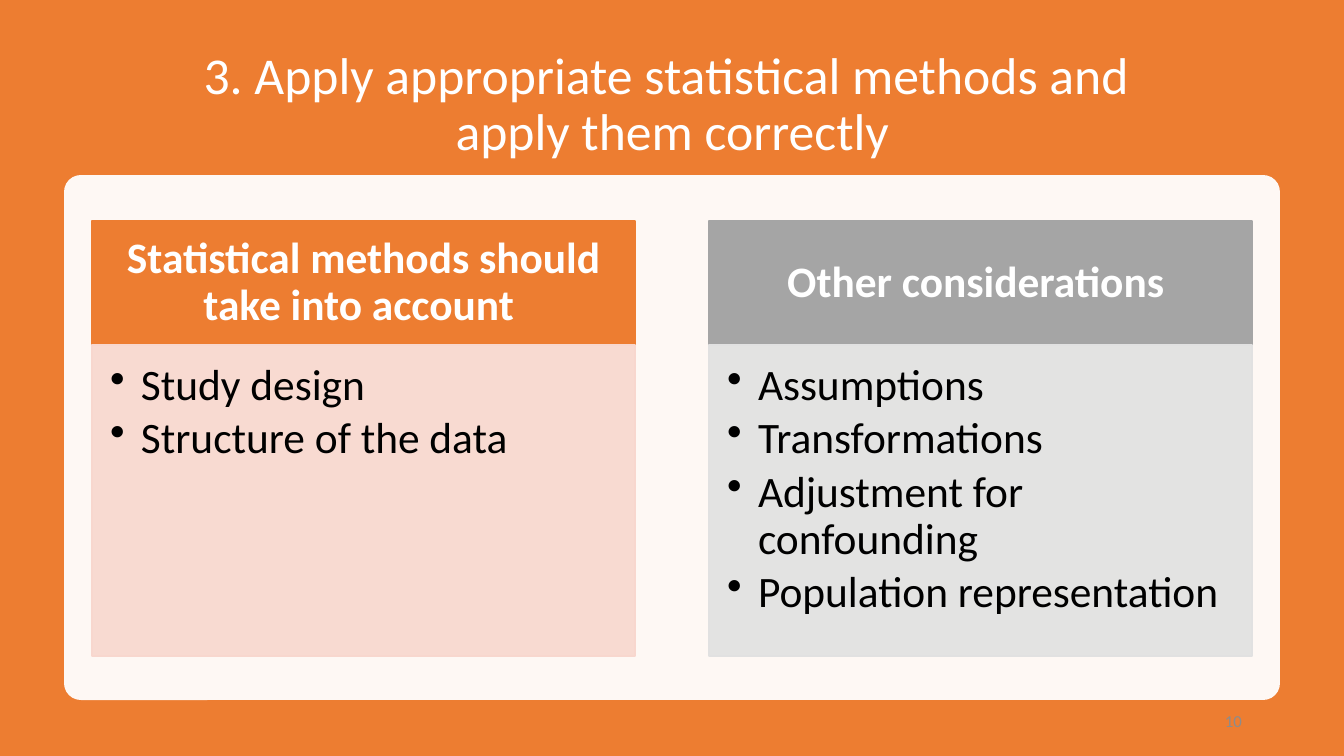
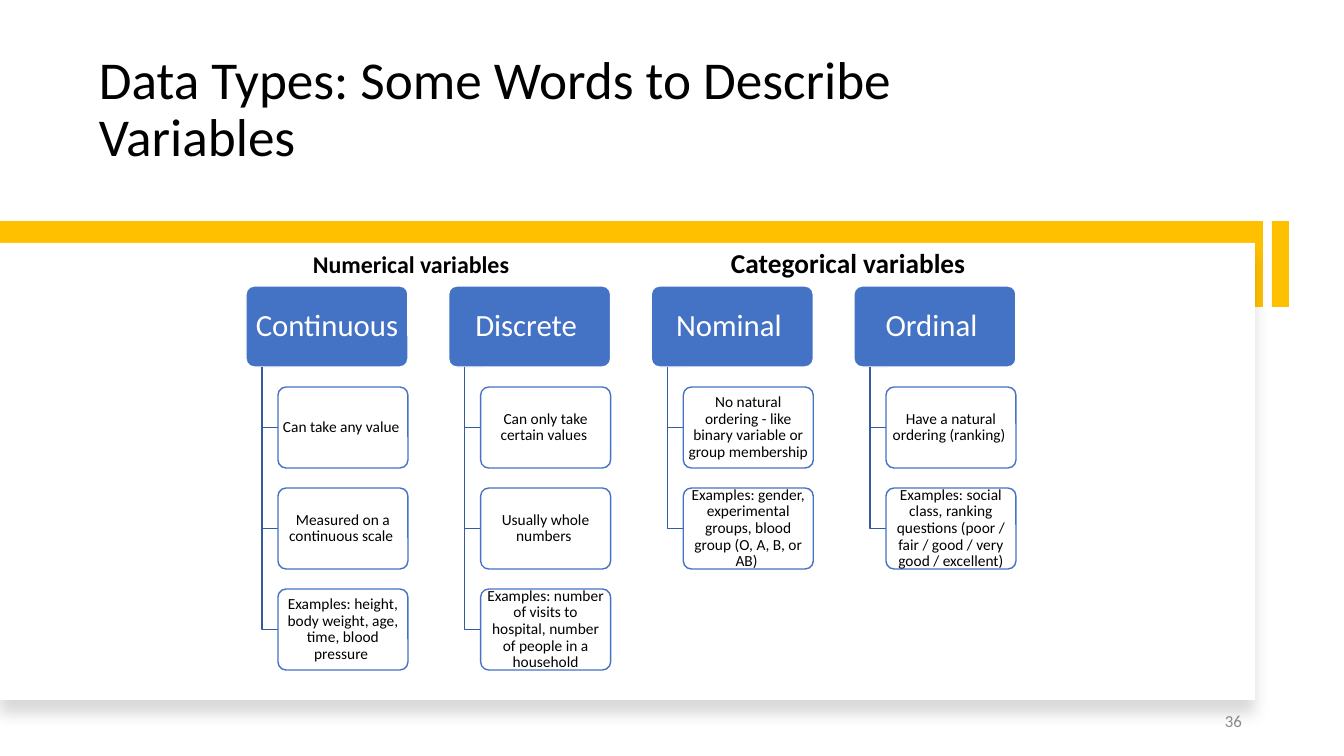
from lxml.etree import SubElement
from pptx import Presentation
from pptx.dml.color import RGBColor
from pptx.enum.shapes import MSO_SHAPE as Shape
from pptx.enum.text import MSO_ANCHOR as Anchor, PP_ALIGN as Align
from pptx.oxml.ns import qn
from pptx.util import Emu, Pt

PX = 914400 / 100.8
FONT = "Calibri"
ORANGE, GRAY, YELLOW, BLUE, NAVY = "ED7D31", "A5A5A5", "FFC000", "4472C4", "365B9D"
PALE_ORANGE, PALE_GRAY, NUMBER_GRAY = "F8D7CE", "E1E1E1", "8C8C8C"
WHITE, BLACK = "FFFFFF", "000000"
INSETS = (10, 5, 10, 5)

METHOD_PANELS = [
    ("Statistical methods should take into account ", ORANGE, PALE_ORANGE,
     ["Study design", "Structure of the data"]),
    ("Other considerations ", GRAY, PALE_GRAY,
     ["Assumptions", "Transformations", "Adjustment for confounding",
      "Population representation"]),
]
DATA_TYPES = [
    ("Continuous ", ["Can take any value ", "Measured on a continuous scale ",
                     "Examples: height, body weight, age, time, blood pressure "]),
    ("Discrete ", ["Can only take certain values ", "Usually whole numbers ",
                   "Examples: number of visits to hospital, number of people in a household"]),
    ("Nominal ", ["No natural ordering - like binary variable or group membership ",
                  "Examples: gender, experimental groups, blood group (O, A, B, or AB) "]),
    ("Ordinal ", ["Have a natural ordering (ranking) ",
                  "Examples: social class, ranking questions "
                  "(poor / fair / good / very good / excellent)"]),
]


def px(length):
    return Emu(round(length * PX))


def rgb(color):
    return RGBColor.from_string(color)


def set_alpha(color_element, percent):
    SubElement(color_element, qn("a:alpha"), val=str(percent * 1000))


def set_line(shape, color):
    if color:
        shape.line.color.rgb = rgb(color)
        shape.line.width = Pt(1)
    else:
        shape.line.fill.background()


def add_block(page, box, fill, line=None, kind=Shape.RECTANGLE, corner=None, alpha=None):
    block = page.shapes.add_shape(kind, *map(px, box))
    block.shadow.inherit = False
    block.fill.solid()
    block.fill.fore_color.rgb = rgb(fill)
    if alpha:
        set_alpha(block.fill._xPr.find(".//" + qn("a:srgbClr")), alpha)
    if corner:
        block.adjustments[0] = corner
    set_line(block, line)
    return block


def add_bullet(para, indent):
    props = para._p.get_or_add_pPr()
    props.set("marL", str(px(indent)))
    props.set("indent", str(-px(indent)))
    SubElement(props, qn("a:buChar"), char="•")


def write(shape, lines, size, color, bold=False, align=Align.LEFT, anchor=Anchor.MIDDLE,
          insets=INSETS, spacing=0.9, after=0, bullet_indent=0):
    frame = shape.text_frame
    frame.word_wrap = True
    frame.vertical_anchor = anchor
    frame.margin_left, frame.margin_top, frame.margin_right, frame.margin_bottom = map(px, insets)
    for index, line in enumerate(lines):
        para = frame.add_paragraph() if index else frame.paragraphs[0]
        para.text = line
        if bullet_indent:
            add_bullet(para, bullet_indent)
        para.alignment = align
        para.line_spacing = spacing
        para.space_after = Pt(after)
        for span in para.runs:
            span.font.name = FONT
            span.font.size = Pt(size)
            span.font.bold = bold
            span.font.color.rgb = rgb(color)


def add_text(page, box, text, size, color, **style):
    write(page.shapes.add_textbox(*map(px, box)), [text], size, color, **style)


def add_page(deck, number, background):
    page = deck.slides.add_slide(deck.slide_layouts[6])
    page.background.fill.solid()
    page.background.fill.fore_color.rgb = rgb(background)
    add_text(page, (950, 701, 302, 40), str(number), 12, NUMBER_GRAY,
             align=Align.RIGHT, spacing=1)
    return page


def add_list_panel(page, box, heading, strong, pale, items):
    left, top, width, height = box
    header_height = 124
    header = add_block(page, (left, top, width, header_height), strong, strong)
    write(header, [heading], 31, WHITE, bold=True, align=Align.CENTER,
          insets=(24, 14, 24, 14))
    body = add_block(page, (left, top + header_height, width, height - header_height),
                     pale, pale, alpha=90)
    write(body, items, 31, BLACK, anchor=Anchor.TOP, insets=(18, 18, 24, 27),
          after=4.65, bullet_indent=31)


def add_elbow(page, start, end):
    """Draw a line down from start, then across to end."""
    builder = page.shapes.build_freeform(*map(px, start))
    builder.add_line_segments([(px(start[0]), px(end[1])), tuple(map(px, end))], close=False)
    elbow = builder.convert_to_shape()
    elbow.shadow.inherit = False
    elbow.fill.background()
    set_line(elbow, NAVY)


def add_type_column(page, box, heading, items):
    """Place a heading with its items hanging from a trunk line."""
    left, top, width, node_height = box
    step, trunk, indent = 101, 16, 32
    header = add_block(page, (left, top, width, node_height), BLUE, WHITE,
                       Shape.ROUNDED_RECTANGLE, 0.1)
    write(header, [heading], 22, WHITE, align=Align.CENTER, insets=(5, 3, 5, 3))
    for row, item in enumerate(items, 1):
        node_top = top + row * step
        add_elbow(page, (left + trunk, top + node_height),
                  (left + indent, node_top + node_height / 2))
        node = add_block(page, (left + indent, node_top, width - indent, node_height),
                         WHITE, BLUE, Shape.ROUNDED_RECTANGLE, 0.1, alpha=90)
        write(node, [item], 11, BLACK, align=Align.CENTER, insets=(2, 2, 2, 2))


def add_soft_shadow(shape):
    effects = shape._element.spPr.find(qn("a:effectLst"))
    shadow = SubElement(effects, qn("a:outerShdw"), blurRad=str(Pt(11)), dist=str(Pt(10)),
                        dir="5400000", algn="t", rotWithShape="0")
    set_alpha(SubElement(shadow, qn("a:srgbClr"), val=BLACK), 15)


def add_banded_panel(page, top):
    """Place a white panel over a yellow band with a loose bar at its right."""
    add_block(page, (1272, top, 17, 86), YELLOW)
    add_block(page, (0, top, 1263, 86), YELLOW)
    add_soft_shadow(add_block(page, (0, top + 22, 1255, 457), WHITE))


def build_methods_page(deck):
    page = add_page(deck, 10, ORANGE)
    add_text(page, (93, 50, 1159, 111),
             "3. Apply appropriate statistical methods and \vapply them correctly",
             36.9, WHITE, align=Align.CENTER)
    add_block(page, (64, 175, 1216, 525), WHITE, kind=Shape.ROUNDED_RECTANGLE,
              corner=0.032, alpha=95)
    for column, panel in enumerate(METHOD_PANELS):
        add_list_panel(page, (92 + column * 617, 221, 543, 435), *panel)


def build_types_page(deck):
    page = add_page(deck, 36, WHITE)
    add_banded_panel(page, 221)
    add_text(page, (89, 42, 1000, 131), "Data Types: Some Words to Describe Variables",
             38, BLACK, anchor=Anchor.BOTTOM)
    add_text(page, (303, 248, 400, 36), "Numerical variables", 17.1, BLACK,
             bold=True, anchor=Anchor.TOP)
    add_text(page, (721, 241, 421, 43), "Categorical variables", 19.5, BLACK,
             bold=True, anchor=Anchor.TOP, spacing=1)
    left, width, column_width = 246, 770, 162
    pitch = (width - column_width) / (len(DATA_TYPES) - 1)
    for column, data_type in enumerate(DATA_TYPES):
        add_type_column(page, (left + column * pitch, 286, column_width, 81), *data_type)


def main():
    deck = Presentation()
    deck.slide_width, deck.slide_height = px(1344), px(756)
    build_methods_page(deck)
    build_types_page(deck)
    deck.save("out.pptx")


if __name__ == "__main__":
    main()
